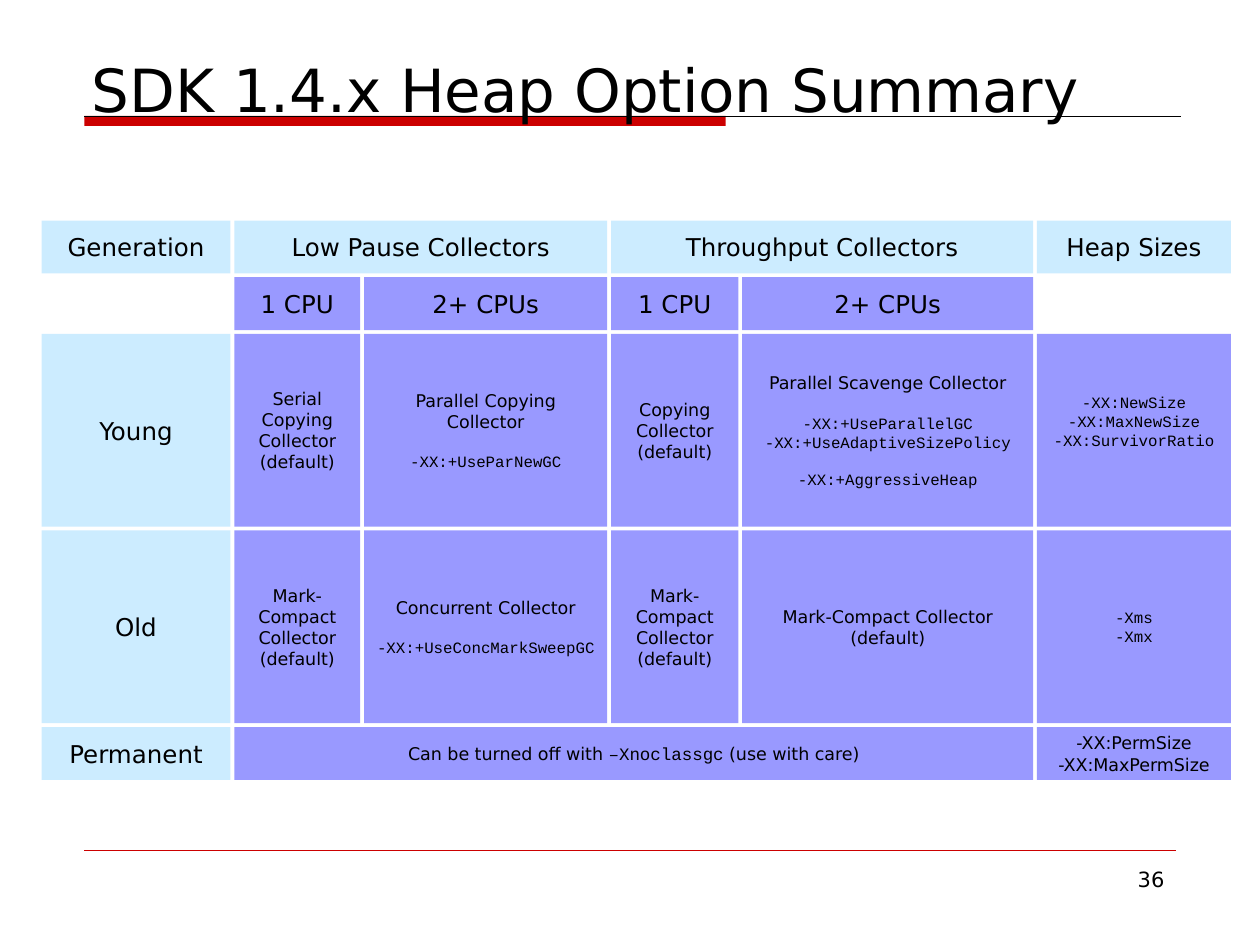
from dataclasses import dataclass

from lxml.etree import SubElement
from pptx import Presentation
from pptx.dml.color import RGBColor
from pptx.enum.shapes import MSO_CONNECTOR as Wire, MSO_SHAPE as Kind
from pptx.enum.text import MSO_ANCHOR as Anchor, PP_ALIGN as Align
from pptx.oxml.ns import qn
from pptx.slide import Slide
from pptx.text.text import TextFrame
from pptx.util import Inches, Pt

SANS, MONO = "DejaVu Sans", "Courier New"
BLACK = RGBColor(0x00, 0x00, 0x00)
RED = RGBColor(0xCC, 0x00, 0x00)
PALE = RGBColor(0xCC, 0xEC, 0xFF)
BLUE = RGBColor(0x99, 0x99, 0xFF)

GAP = 0.03
LEFT, WIDTHS = 0.33, (1.5, 1.0, 1.93, 1.01, 2.31, 1.54)
TOP, HEIGHTS = 1.75, (0.42, 0.42, 1.53, 1.53, 0.42)


@dataclass(frozen=True)
class Line:
    text: str
    font: str = SANS
    size: float = 10
    gap: float = 0
    code: str = ""
    tail: str = ""


@dataclass(frozen=True)
class Cell:
    row: int
    col: int
    lines: tuple[Line, ...]
    span: int = 1
    fill: RGBColor = BLUE
    foot: float = 0.05


def head(row: int, col: int, text: str, span: int = 1, fill: RGBColor = PALE) -> Cell:
    """Describe a heading cell."""
    return Cell(row, col, (Line(text, size=14),), span, fill)


def flag(text: str, gap: float = 0) -> Line:
    """Describe a line with a command option."""
    return Line(text, MONO, 9, gap)


MARK = (Line("Mark-Compact Collector (default)"),)

CELLS = (
    head(0, 1, "Low Pause Collectors", 2),
    head(0, 3, "Throughput Collectors", 2),
    head(0, 5, "Heap Sizes"),
    head(0, 0, "Generation"),
    head(2, 0, "Young"),
    head(3, 0, "Old"),
    head(4, 0, "Permanent"),
    head(1, 1, "1 CPU", fill=BLUE),
    head(1, 2, "2+ CPUs", fill=BLUE),
    head(1, 3, "1 CPU", fill=BLUE),
    head(1, 4, "2+ CPUs", fill=BLUE),
    Cell(2, 1, (Line("Serial Copying Collector (default)"),)),
    Cell(2, 2, (Line("Parallel Copying Collector"), flag("-XX:+UseParNewGC", 11.6))),
    Cell(2, 3, (Line("Copying Collector (default)"),)),
    Cell(2, 4, (
        Line("Parallel Scavenge Collector"),
        flag("-XX:+UseParallelGC", 11.6),
        flag("-XX:+UseAdaptiveSizePolicy"),
        flag("-XX:+AggressiveHeap", 10.2),
    )),
    Cell(2, 5, (
        flag("-XX:NewSize"), flag("-XX:MaxNewSize"), flag("-XX:SurvivorRatio"),
    ), foot=0.19),
    Cell(3, 1, MARK),
    Cell(3, 2, (Line("Concurrent Collector"), flag("-XX:+UseConcMarkSweepGC", 11.6))),
    Cell(3, 3, MARK),
    Cell(3, 4, MARK),
    Cell(3, 5, (flag("-Xms"), flag("-Xmx"))),
    Cell(4, 1, (
        Line("Can be turned off with ", code="–Xnoclassgc", tail=" (use with care)"),
    ), 4),
    Cell(4, 5, (Line("-XX:PermSize"), Line("-XX:MaxPermSize"))),
)


def write(frame: TextFrame, lines: tuple[Line, ...], align: Align, anchor: Anchor) -> None:
    """Fill a text frame with lines."""
    frame.word_wrap = True
    frame.vertical_anchor = anchor
    for i, line in enumerate(lines):
        para = frame.paragraphs[0] if i == 0 else frame.add_paragraph()
        para.alignment = align
        if line.gap:
            para.space_before = Pt(line.gap)
        para.font.name = line.font
        para.font.size = Pt(line.size)
        para.font.color.rgb = BLACK
        para.add_run().text = line.text
        if line.code:
            code = para.add_run()
            code.text = line.code
            code.font.name = MONO
            para.add_run().text = line.tail


def block(slide: Slide, x: float, y: float, w: float, h: float, fill: RGBColor):
    """Draw a plain filled rectangle."""
    box = slide.shapes.add_shape(Kind.RECTANGLE, Inches(x), Inches(y), Inches(w), Inches(h))
    box.shadow.inherit = False
    box.fill.solid()
    box.fill.fore_color.rgb = fill
    box.line.fill.background()
    return box


def rule(slide: Slide, y: float, end: float, color: RGBColor, width: float) -> None:
    """Draw a level line from the left margin."""
    wire = slide.shapes.add_connector(
        Wire.STRAIGHT, Inches(0.67), Inches(y), Inches(end), Inches(y))
    wire.line.color.rgb = color
    wire.line.width = Pt(width)
    SubElement(wire._element.spPr, qn("a:effectLst"))


def label(slide: Slide, x: float, y: float, w: float, h: float,
          line: Line, align: Align, anchor: Anchor) -> None:
    """Place a one-line text box."""
    box = slide.shapes.add_textbox(Inches(x), Inches(y), Inches(w), Inches(h))
    write(box.text_frame, (line,), align, anchor)


def place(slide: Slide, cell: Cell) -> None:
    """Draw one cell on the grid."""
    x = LEFT + sum(WIDTHS[:cell.col]) + GAP * cell.col
    y = TOP + sum(HEIGHTS[:cell.row]) + GAP * cell.row
    w = sum(WIDTHS[cell.col:cell.col + cell.span]) + GAP * (cell.span - 1)
    box = block(slide, x, y, w, HEIGHTS[cell.row], cell.fill)
    box.text_frame.margin_bottom = Inches(cell.foot)
    write(box.text_frame, cell.lines, Align.CENTER, Anchor.MIDDLE)


def main() -> None:
    """Build the slide and save it."""
    deck = Presentation()
    deck.slide_width, deck.slide_height = Inches(10), Inches(7.5)
    slide = deck.slides.add_slide(deck.slide_layouts[6])
    block(slide, 0.67, 0.92, 5.09, 0.08, RED)
    rule(slide, 0.92, 9.37, BLACK, 0.25)
    rule(slide, 6.75, 9.33, RED, 0.25)
    label(slide, 7.17, 6.83, 2.17, 0.52, Line("36", size=12), Align.RIGHT, Anchor.TOP)
    label(slide, 0.63, 0.33, 8.75, 0.75,
          Line("SDK 1.4.x Heap Option Summary", size=34), Align.LEFT, Anchor.MIDDLE)
    for cell in CELLS:
        place(slide, cell)
    deck.save("out.pptx")


if __name__ == "__main__":
    main()
